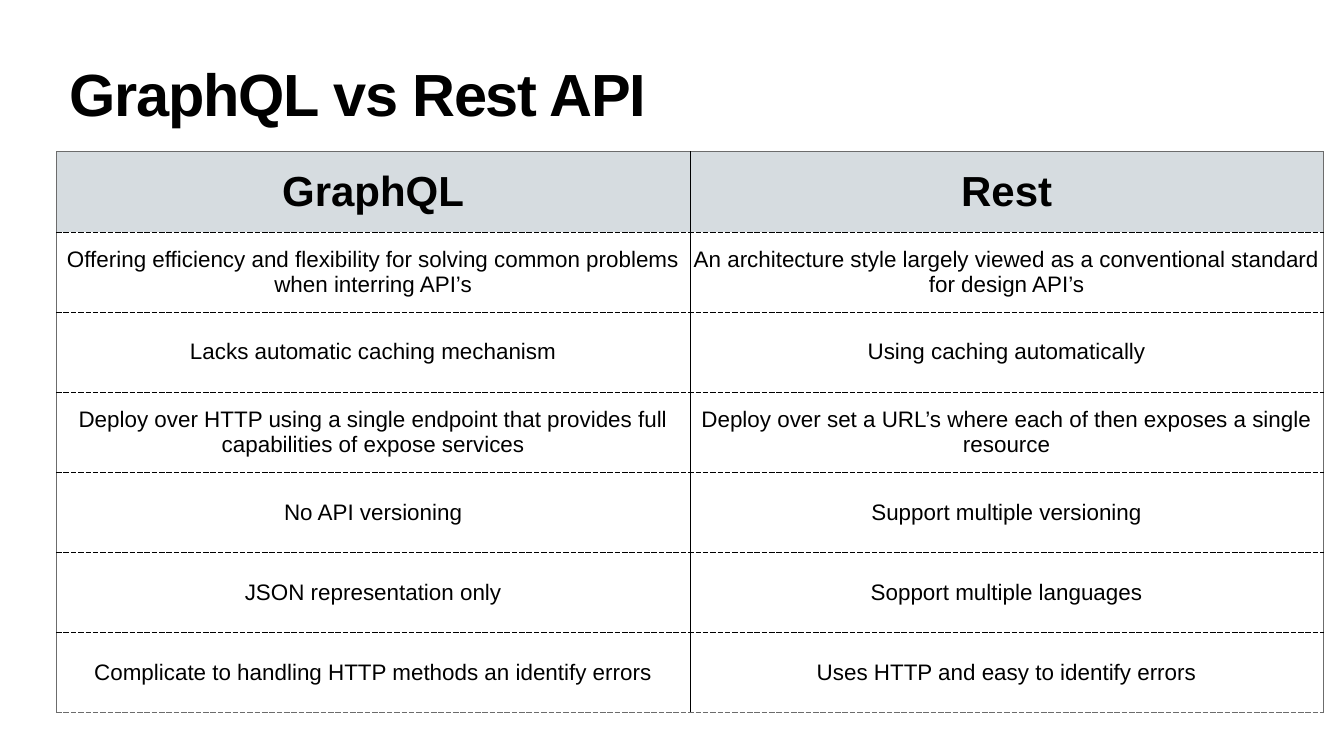
from pptx import Presentation
from pptx.dml.color import RGBColor
from pptx.enum.text import MSO_ANCHOR, PP_ALIGN
from pptx.oxml.ns import qn
from pptx.util import Inches, Pt
from lxml.etree import SubElement

BLACK = RGBColor(0x00, 0x00, 0x00)
GREY = RGBColor(0x6C, 0x6C, 0x6C)
HEADER_FILL = RGBColor(0xD6, 0xDC, 0xE0)
WHITE = RGBColor(0xFF, 0xFF, 0xFF)
FONT = "Arial"
INSET = Inches(0.06)

COMPARISON = [
    ("GraphQL", "Rest"),
    ("Offering efficiency and flexibility for solving common problems when interring API’s",
     "An architecture style largely viewed as a conventional standard for design API’s"),
    ("Lacks automatic caching mechanism", "Using caching automatically"),
    ("Deploy over HTTP using a single endpoint that provides full capabilities of expose services",
     "Deploy over set a URL’s where each of then exposes a single resource"),
    ("No API versioning", "Support multiple versioning"),
    ("JSON representation only", "Sopport multiple languages"),
    ("Complicate to handling HTTP methods an identify errors",
     "Uses HTTP and easy to identify errors"),
]


def add_run(paragraph, text, size, bold):
    run = paragraph.add_run()
    run.text = text
    run.font.name = FONT
    run.font.size = Pt(size)
    run.font.bold = bold
    run.font.color.rgb = BLACK
    return run


def set_insets(area):
    area.margin_left = area.margin_right = INSET
    area.margin_top = area.margin_bottom = INSET


def add_title(slide, text):
    title = slide.shapes.add_textbox(Inches(1.32), Inches(1.18), Inches(24.03), Inches(1.57))
    frame = title.text_frame
    frame.word_wrap = True
    frame.vertical_anchor = MSO_ANCHOR.MIDDLE
    set_insets(frame)
    heading = frame.paragraphs[0]
    heading.line_spacing = 0.8
    run = add_run(heading, text, 85, True)
    run.font._element.set("spc", "-170")


def add_border(cell, side, color, dash):
    line = SubElement(cell._tc.get_or_add_tcPr(), qn(f"a:ln{side}"), w=str(Pt(1)))
    fill = SubElement(line, qn("a:solidFill"))
    SubElement(fill, qn("a:srgbClr"), val=str(color))
    SubElement(line, qn("a:prstDash"), val=dash)


def fill_cell(cell, text, is_header):
    set_insets(cell)
    cell.vertical_anchor = MSO_ANCHOR.MIDDLE
    paragraph = cell.text_frame.paragraphs[0]
    paragraph.alignment = PP_ALIGN.CENTER
    add_run(paragraph, text, 60 if is_header else 32, is_header)


def add_comparison(slide, rows):
    last_row, last_column = len(rows) - 1, len(rows[0]) - 1
    table = slide.shapes.add_table(
        len(rows), len(rows[0]), Inches(1.12), Inches(3.01),
        Inches(12.57 * len(rows[0])), Inches(1.59 * len(rows))).table
    table.horz_banding = False

    for row, texts in enumerate(rows):
        table.rows[row].height = Inches(1.59)
        for column, text in enumerate(texts):
            cell = table.cell(row, column)
            fill_cell(cell, text, row == 0)
            # Grey outer frame, black inner rules, dashed below each row
            add_border(cell, "L", GREY if column == 0 else BLACK, "solid")
            add_border(cell, "R", GREY if column == last_column else BLACK, "solid")
            add_border(cell, "T", GREY if row == 0 else BLACK, "solid" if row == 0 else "dash")
            add_border(cell, "B", GREY if row == last_row else BLACK, "dash")
            # The fill follows the borders in the cell properties
            cell.fill.solid()
            cell.fill.fore_color.rgb = HEADER_FILL if row == 0 else WHITE


def main():
    presentation = Presentation()
    presentation.slide_width = Inches(26.67)
    presentation.slide_height = Inches(15)
    slide = presentation.slides.add_slide(presentation.slide_layouts[6])
    add_title(slide, "GraphQL vs Rest API")
    add_comparison(slide, COMPARISON)
    presentation.save("out.pptx")


if __name__ == "__main__":
    main()
